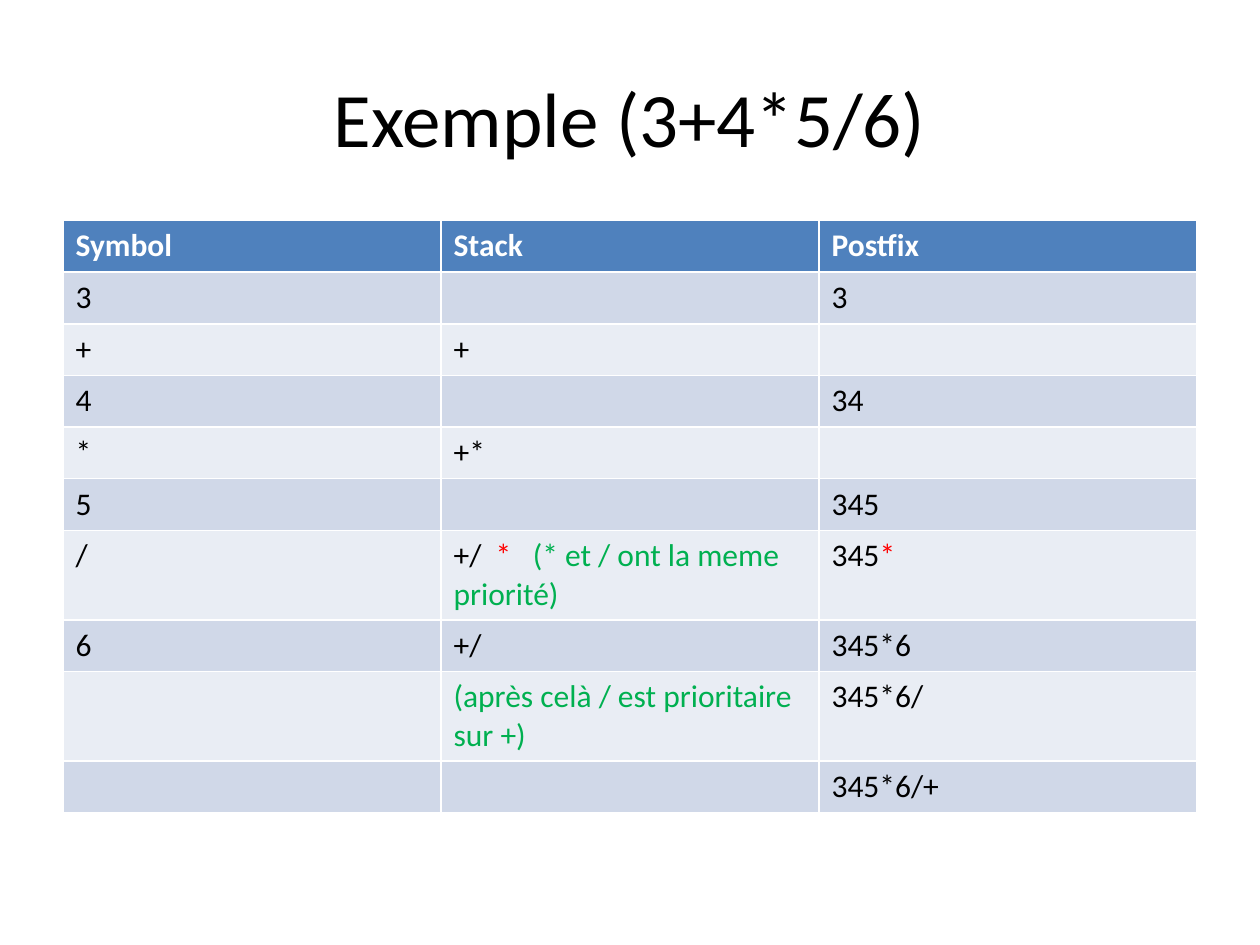
"""Build a slide that traces the infix to postfix conversion of 3+4*5/6."""
from pptx import Presentation
from pptx.dml.color import RGBColor
from pptx.enum import text
from pptx.util import Inches, Pt

BLACK = RGBColor(0x00, 0x00, 0x00)
WHITE = RGBColor(0xFF, 0xFF, 0xFF)
RED = RGBColor(0xFF, 0x00, 0x00)
GREEN = RGBColor(0x00, 0xB0, 0x50)
HEADER_FILL = RGBColor(0x4F, 0x81, 0xBD)
BAND_FILLS = [RGBColor(0xE9, 0xED, 0xF4), RGBColor(0xD0, 0xD8, 0xE8)]

STEPS = [
    ["Symbol", "Stack", "Postfix"],
    ["3", "", "3"],
    ["+", "+", ""],
    ["4", "", "34"],
    ["*", "+*", ""],
    ["5", "", "345"],
    ["/",
     [("+/  ", BLACK), ("*   ", RED), ("(* et / ont la meme priorité)", GREEN)],
     [("345", BLACK), ("*", RED)]],
    ["6", "+/", "345*6"],
    ["", [("(après celà / est prioritaire sur +)", GREEN)], "345*6/"],
    ["", "", "345*6/+"],
]
ROW_HEIGHT = 0.41


def add_run(paragraph, content, size, color, bold=False):
    run = paragraph.add_run()
    run.text = content
    run.font.name = "Calibri"
    run.font.size = Pt(size)
    run.font.bold = bold
    run.font.color.rgb = color


presentation = Presentation()
presentation.slide_width = Inches(10)
presentation.slide_height = Inches(7.5)
slide = presentation.slides.add_slide(presentation.slide_layouts[5])

title = slide.shapes.title
title.left, title.top = Inches(0.5), Inches(0.3)
title.width, title.height = Inches(9), Inches(1.25)
title.text_frame.vertical_anchor = text.MSO_ANCHOR.MIDDLE
title_paragraph = title.text_frame.paragraphs[0]
title_paragraph.alignment = text.PP_ALIGN.CENTER
add_run(title_paragraph, "Exemple (3+4*5/6)", 44, BLACK)

table = slide.shapes.add_table(
    len(STEPS), len(STEPS[0]), Inches(0.5), Inches(1.75),
    Inches(9), Inches(ROW_HEIGHT * len(STEPS))).table

for row_index, step in enumerate(STEPS):
    table.rows[row_index].height = Inches(ROW_HEIGHT)
    is_header = row_index == 0
    for column_index, content in enumerate(step):
        cell = table.cell(row_index, column_index)
        cell.fill.solid()
        cell.fill.fore_color.rgb = HEADER_FILL if is_header else BAND_FILLS[row_index % 2]
        if isinstance(content, str):
            content = [(content, WHITE if is_header else BLACK)] if content else []
        for words, color in content:
            add_run(cell.text_frame.paragraphs[0], words, 18, color, is_header)

presentation.save("out.pptx")
